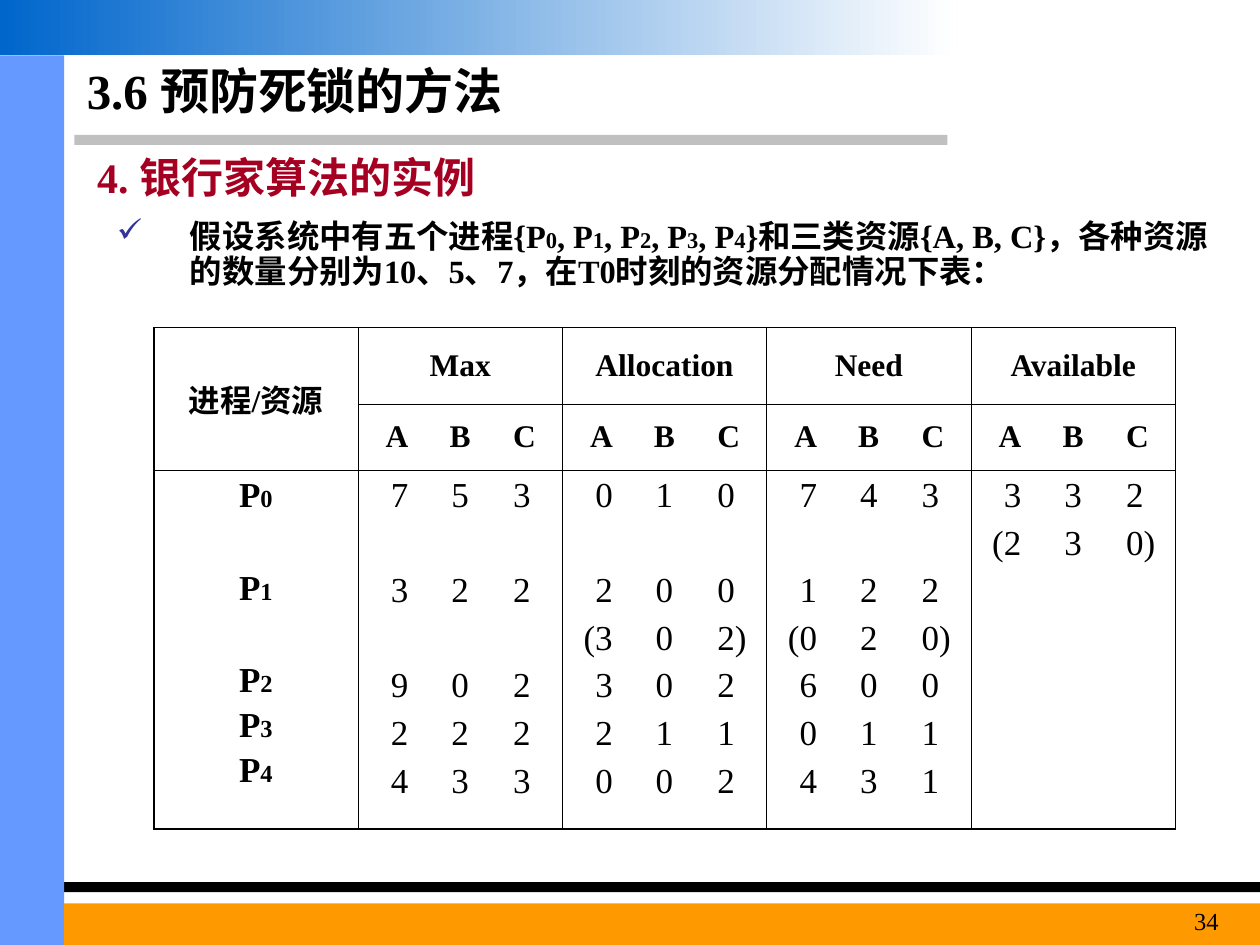
from itertools import product

from lxml import etree
from pptx import Presentation
from pptx import util as u
from pptx.dml import color
from pptx.enum import shapes, text
from pptx.oxml import ns

HUES = {"black": "000000", "white": "FFFFFF", "gray": "C0C0C0",
        "side": "6699FF", "foot": "FF9900", "sky": "0066CC",
        "red": "A50021", "check": "333399"}
FONT = "Times New Roman"
COLS, ROWS = 100, 75
SIDES = {"left": text.PP_ALIGN.LEFT, "mid": text.PP_ALIGN.CENTER,
         "right": text.PP_ALIGN.RIGHT}
TRIO = (("r", 0.3), ("ctr", 0.71), ("l", 1.13))


def hue(name):
    return color.RGBColor.from_string(HUES[name])


def node(root, tag, **attrs):
    return etree.SubElement(root, ns.qn(tag), {k: str(v) for k, v in attrs.items()})


def tint(root, name):
    node(root, "a:srgbClr", val=HUES[name])


def write(para, words, size=18, bold=True, ink="black", side="left",
          before=0, line=None, tabs=(), bullet=None):
    """Fill a paragraph; pieces between underscores are set at 70 % size."""
    para.alignment = SIDES[side]
    para.space_before = u.Pt(before)
    if line:
        para.line_spacing = line
    props = para._p.get_or_add_pPr()
    if bullet:
        props.set("marL", str(u.Inches(0.58)))
        props.set("indent", str(-u.Inches(0.58)))
        tint(node(props, "a:buClr"), "check")
        node(props, "a:buChar", char=bullet)
    if tabs:
        stops = node(props, "a:tabLst")
        for kind, place in tabs:
            node(stops, "a:tab", pos=u.Inches(place), algn=kind)
    for i, piece in enumerate(words.split("_")):
        if piece:
            run = para.add_run()
            run.text = piece
            font = run.font
            font.name, font.bold = FONT, bold
            font.size = u.Pt(round(size * 0.7, 1) if i % 2 else size)
            font.color.rgb = hue(ink)


class Deck:
    """Holds the grid, the file and the current slide."""

    def __init__(self):
        self.file = Presentation()
        self.file.slide_width, self.file.slide_height = u.Inches(10), u.Inches(7.5)
        self.wide = self.file.slide_width / COLS
        self.high = self.file.slide_height / ROWS
        self.slide = self.file.slides.add_slide(self.file.slide_layouts[6])

    def place(self, x, y, w, h):
        return [round(n) for n in (x * self.wide, y * self.high,
                                   w * self.wide, h * self.high)]

    def bar(self, at, ink, fade=None):
        shape = self.slide.shapes.add_shape(shapes.MSO_SHAPE.RECTANGLE, *self.place(*at))
        shape.shadow.inherit = False
        shape.line.fill.background()
        if fade:
            shape.fill.gradient()
            shape.fill.gradient_angle = 0
            for stop, name in zip(shape.fill.gradient_stops, (ink, fade)):
                stop.color.rgb = hue(name)
        else:
            shape.fill.solid()
            shape.fill.fore_color.rgb = hue(ink)

    def label(self, at, words, anchor=text.MSO_ANCHOR.TOP, **style):
        frame = self.slide.shapes.add_textbox(*self.place(*at)).text_frame
        frame.word_wrap = True
        frame.vertical_anchor = anchor
        write(frame.paragraphs[0], words, **style)

    def table(self, at, heights, count):
        grid = self.slide.shapes.add_table(len(heights), count, *self.place(*at)).table
        grid.first_row = grid.horz_banding = False
        for row, height in zip(grid.rows, heights):
            row.height = round(height * self.high)
        last = len(heights) - 1
        for r, c in product(range(len(heights)), range(count)):
            cell = grid.cell(r, c)
            props = cell._tc.get_or_add_tcPr()
            outer = {"L": c == 0, "R": c == count - 1, "T": r == 0, "B": r == last}
            for edge, thick in outer.items():
                rule = node(props, f"a:ln{edge}", w=u.Pt(1.08 if thick else 0.45))
                tint(node(rule, "a:solidFill"), "black")
            cell.fill.background()
            cell.vertical_anchor = text.MSO_ANCHOR.TOP if r == last else text.MSO_ANCHOR.MIDDLE
        return grid


def fill(cell, lines, gap=4.5, **style):
    """Write one paragraph per line; None leaves a line free above the next."""
    skip, first = 0, True
    for line in lines:
        if line is None:
            skip += 27.2
            continue
        para = cell.text_frame.paragraphs[0] if first else cell.text_frame.add_paragraph()
        write(para, line, before=gap + skip, **style)
        skip, first = 0, False


def trio(words):
    """Set three entries on the three tab stops."""
    return words and "\t" + "\t".join(words.split())


def main():
    deck = Deck()
    deck.bar((5.9, 10.7, 69.3, 0.8), "gray")
    deck.bar((0, 70, 100, 0.8), "black")
    deck.bar((0, 4.4, 5.1, 70.6), "side")
    deck.bar((5.1, 71.7, 94.9, 3.3), "foot")
    deck.bar((0, 0, 76, 4.4), "sky", fade="white")

    deck.label((5.9, 4.4, 68.5, 5.5), "3.6 预防死锁的方法",
               anchor=text.MSO_ANCHOR.MIDDLE, size=28)
    deck.label((8.3, 17, 89, 7.9),
               "假设系统中有五个进程{P_0_, P_1_, P_2_, P_3_, P_4_}和三类资源{A, B, C}，"
               "各种资源的数量分别为10、5、7，在T0时刻的资源分配情况下表：",
               size=18.5, before=5, line=0.9, bullet="✓")
    deck.label((5.9, 11.5, 90.6, 5), " 4. 银行家算法的实例", size=24, ink="red", before=15)

    data = {
        "Max": ["7 5 3", None, "3 2 2", None, "9 0 2", "2 2 2", "4 3 3"],
        "Allocation": ["0 1 0", None, "2 0 0", "(3 0 2)", "3 0 2", "2 1 1", "0 0 2"],
        "Need": ["7 4 3", None, "1 2 2", "(0 2 0)", "6 0 0", "0 1 1", "4 3 1"],
        "Available": ["3 3 2", "(2 3 0)"],
    }
    grid = deck.table((12.2, 26, 81.1, 39.8), (6.1, 5.2, 28.5), 1 + len(data))
    grid.cell(0, 0).merge(grid.cell(1, 0))
    fill(grid.cell(0, 0), ["进程/资源"], side="mid")
    fill(grid.cell(2, 0), ["P_0_", None, "P_1_", None, "P_2_", "P_3_", "P_4_"],
         gap=3.5, size=20, side="mid")
    for c, (name, lines) in enumerate(data.items(), 1):
        fill(grid.cell(0, c), [name], side="mid")
        fill(grid.cell(1, c), [trio("A B C")], tabs=TRIO)
        fill(grid.cell(2, c), map(trio, lines), gap=5, size=20, bold=False, tabs=TRIO)

    deck.label((88.6, 71.4, 9.1, 3.6), "34", size=14, bold=False, side="right")
    deck.file.save("out.pptx")


if __name__ == "__main__":
    main()
